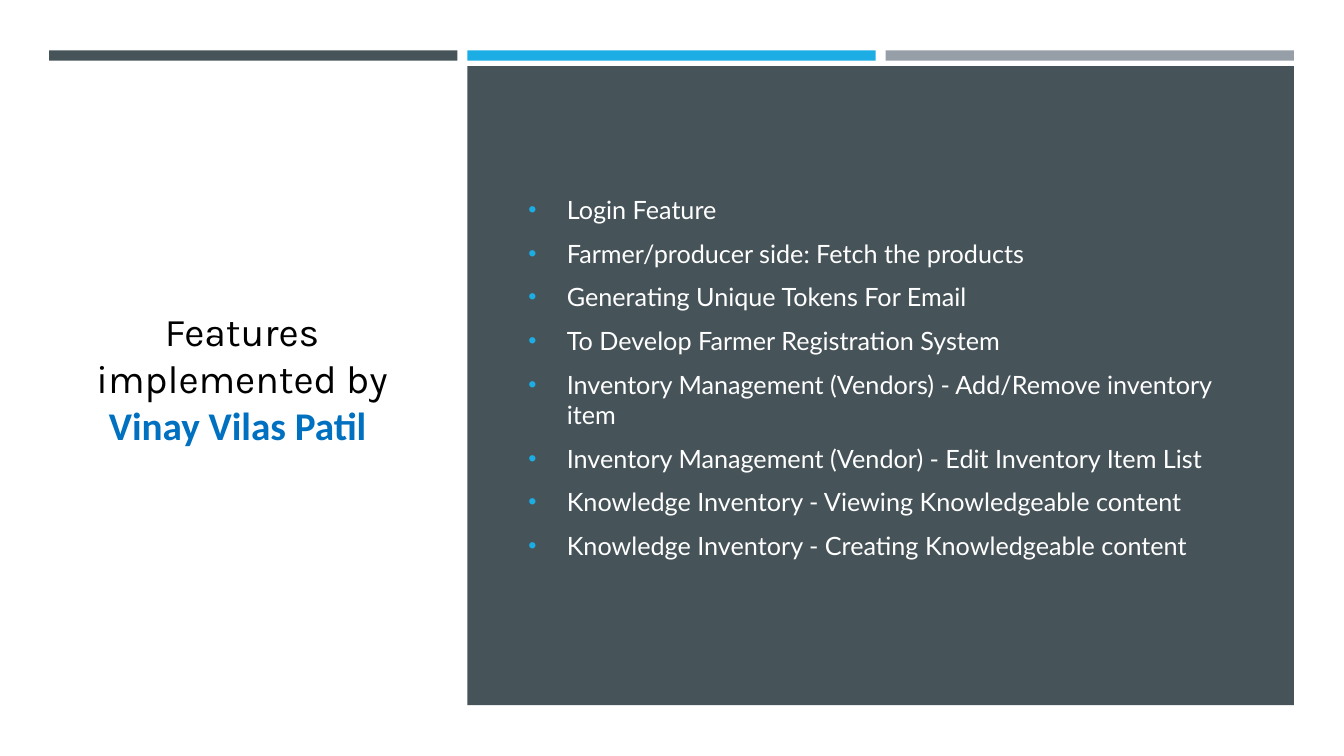
from lxml import etree
from pptx import Presentation
from pptx.dml.color import RGBColor
from pptx.enum.shapes import MSO_SHAPE
from pptx.enum.text import MSO_ANCHOR, MSO_AUTO_SIZE, PP_ALIGN
from pptx.oxml.ns import qn
from pptx.util import Cm, Pt

# text, font, colour, bold
TITLE_RUNS = [
    ("Features implemented by ", "Karla", "000000", False),
    ("Vinay Vilas Patil ", "Calibri", "0070C0", True),
]
FEATURES = [
    "Login Feature",
    "Farmer/producer side: Fetch the products",
    "Generating Unique Tokens For Email",
    "To Develop Farmer Registration System",
    "Inventory Management (Vendors) - Add/Remove inventory item",
    "Inventory Management (Vendor) - Edit Inventory Item List",
    "Knowledge Inventory - Viewing Knowledgeable content",
    "Knowledge Inventory - Creating Knowledgeable content",
]
SLATE, BLUE, GREY, WHITE = "465359", "1CADE4", "969FA7", "FFFFFF"

# Lengths in centimetres
LEFT, BAR_TOP, BAR_WIDTH, BAR_HEIGHT, GAP = 1.24, 1.27, 10.29, 0.26, 0.25
PANEL_TOP, PANEL_HEIGHT = 1.67, 16.1
TEXT_TOP, TEXT_HEIGHT = 2.97, 13.08
INDENT = 0.97


def rgb(colour):
    """Turn a hex string into a colour."""
    return RGBColor.from_string(colour)


def add_block(slide, left, top, width, height, colour):
    """Add a plain filled rectangle."""
    block = slide.shapes.add_shape(
        MSO_SHAPE.RECTANGLE, Cm(left), Cm(top), Cm(width), Cm(height))
    block.shadow.inherit = False
    block.fill.solid()
    block.fill.fore_color.rgb = rgb(colour)
    block.line.fill.background()


def place_text(placeholder, left, width):
    """Place a placeholder in the text band and return its text frame."""
    placeholder.left, placeholder.top = Cm(left), Cm(TEXT_TOP)
    placeholder.width, placeholder.height = Cm(width), Cm(TEXT_HEIGHT)
    frame = placeholder.text_frame
    frame.word_wrap = True
    frame.auto_size = MSO_AUTO_SIZE.NONE
    frame.vertical_anchor = MSO_ANCHOR.MIDDLE
    return frame


def add_run(paragraph, text, size, font, colour, bold=False):
    """Add a formatted run to a paragraph."""
    run = paragraph.add_run()
    run.text = text
    run.font.size, run.font.name, run.font.bold = Pt(size), font, bold
    run.font.color.rgb = rgb(colour)


def add_bullet(paragraph, colour):
    """Give a paragraph a hanging coloured bullet."""
    props = paragraph._p.get_or_add_pPr()
    props.set("marL", str(Cm(INDENT)))
    props.set("indent", str(-Cm(INDENT)))
    bullet_colour = etree.SubElement(props, qn("a:buClr"))
    etree.SubElement(bullet_colour, qn("a:srgbClr"), val=colour)
    etree.SubElement(props, qn("a:buSzPct"), val="92000")
    etree.SubElement(props, qn("a:buFont"), typeface="Arial")
    etree.SubElement(props, qn("a:buChar"), char="•")


prs = Presentation()
prs.slide_width, prs.slide_height = Cm(33.87), Cm(19.05)
slide = prs.slides.add_slide(prs.slide_layouts[1])
slide.background.fill.solid()
slide.background.fill.fore_color.rgb = rgb(WHITE)

column_lefts = [LEFT + i * (BAR_WIDTH + GAP) for i in range(3)]
for left, colour in zip(column_lefts, (SLATE, BLUE, GREY)):
    add_block(slide, left, BAR_TOP, BAR_WIDTH, BAR_HEIGHT, colour)
add_block(slide, column_lefts[1], PANEL_TOP, 2 * BAR_WIDTH + GAP,
          PANEL_HEIGHT, SLATE)

title = place_text(slide.shapes.title, 1.63, 8.94).paragraphs[0]
title.alignment = PP_ALIGN.CENTER
for text, font, colour, bold in TITLE_RUNS:
    add_run(title, text, 28, font, colour, bold)

body = slide.placeholders[1]
frame = place_text(body, 13.06, 18.16)
for i, feature in enumerate(FEATURES):
    paragraph = frame.add_paragraph() if i else frame.paragraphs[0]
    paragraph.space_after = Pt(6)
    add_bullet(paragraph, BLUE)
    add_run(paragraph, feature, 18, "Lato", WHITE)
slide.shapes._spTree.append(body._element)  # bring the list in front of its panel

prs.save("out.pptx")
